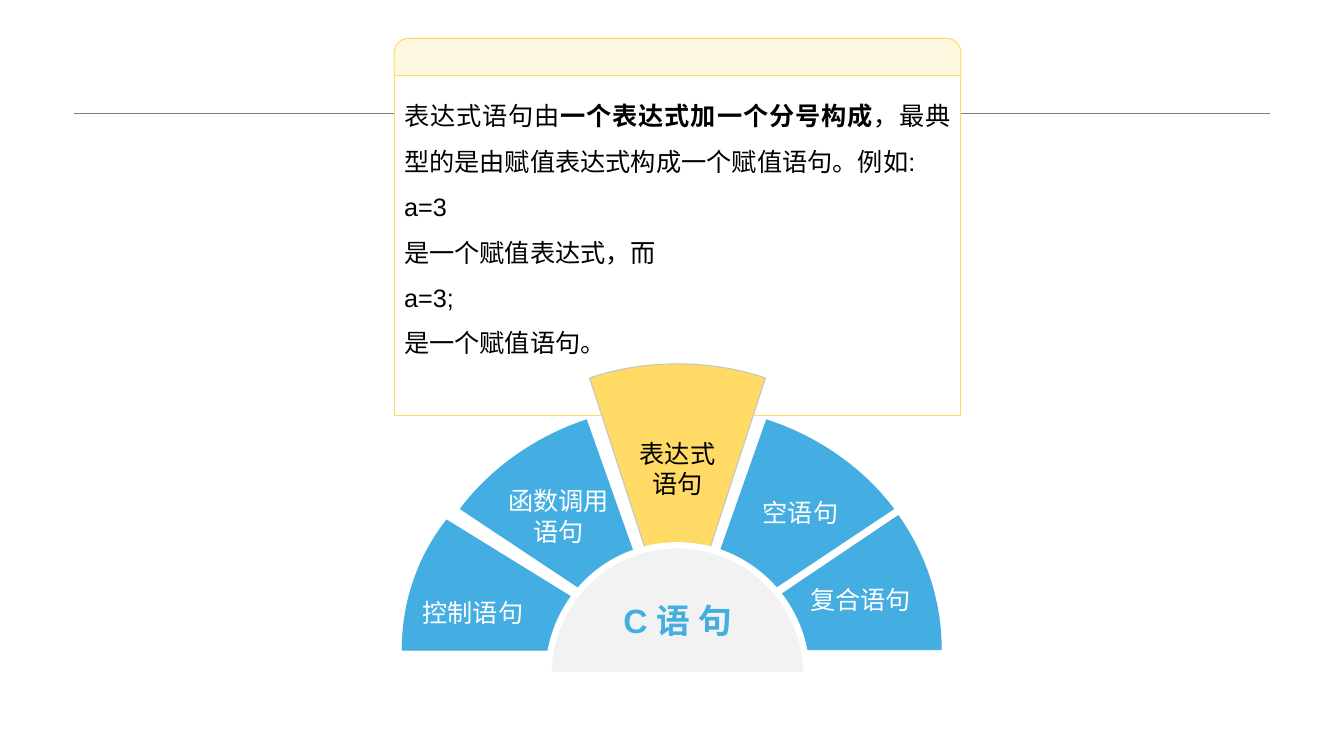
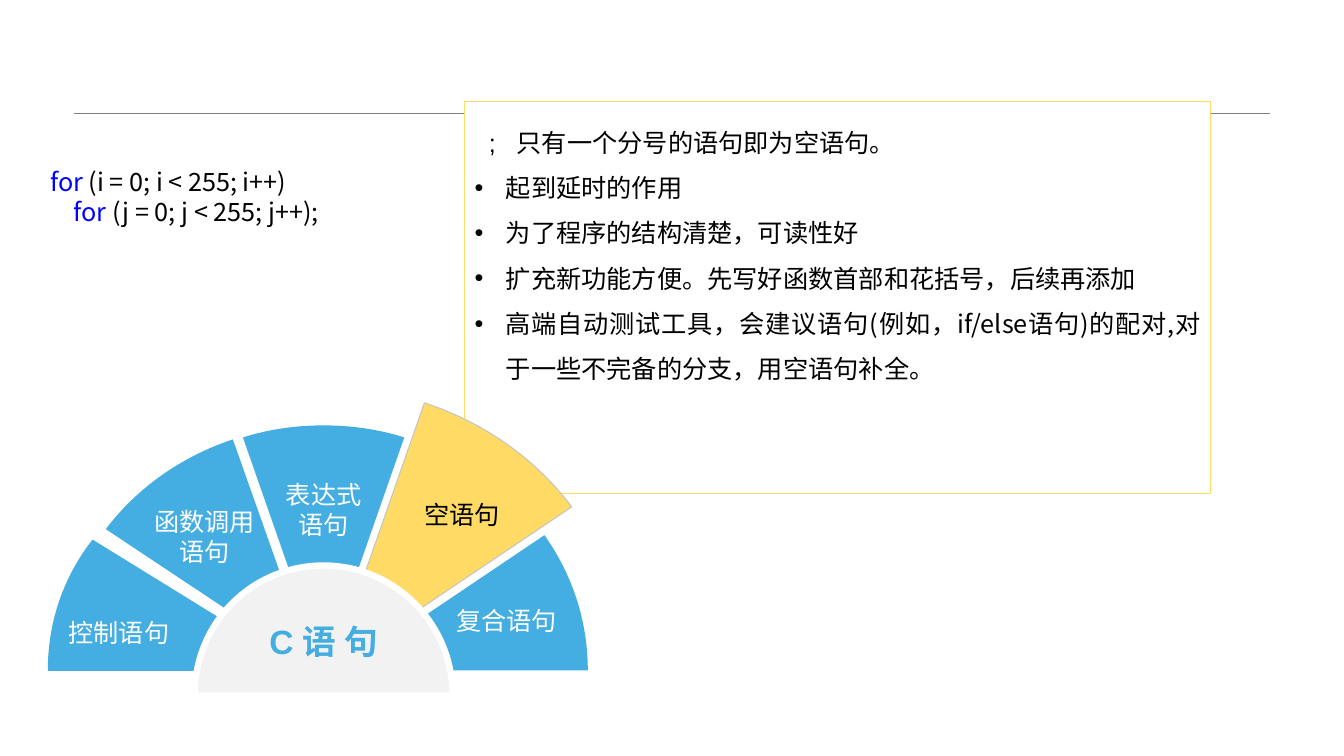
"""Build two slides on C statements: a fan of statement kinds with a card on one of them."""
from lxml.etree import SubElement
from pptx import Presentation
from pptx.dml.color import RGBColor
from pptx.enum.shapes import MSO_CONNECTOR, MSO_SHAPE
from pptx.enum.text import MSO_ANCHOR, PP_ALIGN
from pptx.oxml.ns import qn
from pptx.util import Inches, Pt

BLUE = RGBColor(0x44, 0xAD, 0xE1)
GOLD = RGBColor(0xFF, 0xDB, 0x65)
CREAM = RGBColor(0xFF, 0xF8, 0xE0)
PALE = RGBColor(0xF2, 0xF2, 0xF2)
RIM = RGBColor(0xC4, 0xC4, 0xC4)
GRAY = RGBColor(0x80, 0x80, 0x80)
CODE = RGBColor(0x00, 0x00, 0xFF)
BLACK = RGBColor(0, 0, 0)
WHITE = RGBColor(0xFF, 0xFF, 0xFF)
NOTO = "Noto Sans CJK SC"
MID = MSO_ANCHOR.MIDDLE
TOP = MSO_ANCHOR.TOP
JUST = PP_ALIGN.JUSTIFY
CENTER = PP_ALIGN.CENTER
SIDES = ("margin_left", "margin_top", "margin_right", "margin_bottom")
BASE = {"name": "Arial", "size": Pt(18), "bold": False}


def paint(shape, fill, line=None, width=0.75):
    """Give a shape its fill and outline, without shadow."""
    shape.shadow.inherit = False
    shape.fill.solid()
    shape.fill.fore_color.rgb = fill
    if line is None:
        shape.line.fill.background()
    else:
        shape.line.color.rgb = line
        shape.line.width = Pt(width)


def write(shape, rows, ink, align, inset, anchor, space=1.0):
    """Fill a shape with rows, each a list of (text, format) runs."""
    frame = shape.text_frame
    frame.word_wrap = True
    frame.vertical_anchor = anchor
    for side, gap in zip(SIDES, inset):
        setattr(frame, side, Inches(gap))
    for num, row in enumerate(rows):
        para = frame.add_paragraph() if num else frame.paragraphs[0]
        para.alignment = align
        para.line_spacing = space
        for text, extra in row:
            run = para.add_run()
            run.text = text
            look = {**BASE, **extra}
            run.font.color.rgb = look.pop("ink", ink)
            for key, value in look.items():
                setattr(run.font, key, value)


WEDGE = {"fill": BLUE, "line": None, "width": 0.75, "ink": WHITE, "align": CENTER, "look": {}}
LIFT = {"fill": GOLD, "line": RIM, "ink": BLACK}
FAN = [
    {"rows": ["函数调用", "语句"], "inset": (0.1, 0.05, 0.2, 0.39), "tip": (6.62, 6.42),
     "arc": [(5.82, 4.16), (5.31, 4.33), (4.87, 4.64), (4.56, 5.05)]},
    {"rows": ["控制语句"], "inset": (0.2, 0.59, 0.1, 0.05), "tip": (6.52, 6.45),
     "arc": [(4.43, 5.16), (4.15, 5.52), (3.99, 5.96), (3.99, 6.45)],
     "align": JUST, "line": BLUE},
    {"rows": ["表达式", "语句"], "inset": (0.1, 0.05, 0.1, 0.79), "tip": (6.72, 6.43),
     "arc": [(7.52, 4.14), (7.27, 4.06), (7, 4.02), (6.72, 4.02),
             (6.44, 4.02), (6.17, 4.06), (5.92, 4.14)]},
    {"rows": ["空语句"], "inset": (0.31, 0.05, 0.1, 0.47), "tip": (6.8, 6.43),
     "arc": [(8.87, 5.05), (8.56, 4.64), (8.12, 4.33), (7.6, 4.16)]},
    {"rows": ["复合语句"], "inset": (0.91, 0.39, 0.1, 0.05), "tip": (6.92, 6.45),
     "arc": [(9.34, 6.45), (9.34, 5.95), (9.18, 5.49), (8.91, 5.11)]},
    {"rows": ["C 语 句"], "inset": (0, 0.2, 0, 0), "tip": (6.72, 6.7),
     "arc": [(8, 6.7), (8, 5.98), (7.42, 5.41), (6.72, 5.41),
             (6.01, 5.41), (5.44, 5.98), (5.44, 6.7)],
     "fill": PALE, "line": WHITE, "width": 4.5, "ink": BLUE,
     "look": {"size": Pt(24), "bold": True}},
]

PAGES = [
    {"shift": (0, 0), "lift": "表达式", "scale": (1.09, 1.17), "box": (3.91, 0.75, 5.62, 3.37),
     "rows": [
         [("表达式语句由", {}), ("一个表达式加一个分号构成", {"bold": True}),
          ("，最典型的是由赋值表达式构成一个赋值语句。例如:", {})],
         [("a=3", {})],
         [("是一个赋值表达式，而", {})],
         [("a=3;", {})],
         [("是一个赋值语句。", {})]]},
    {"shift": (-3.51, 0.2), "lift": "空语句", "scale": (1.15, 1.16), "box": (4.61, 1.01, 7.4, 3.89),
     "rows": [[(";", {}), (" ", {}), ("只有一个分号的语句即为空语句。", {})]]
     + [[(text, {"name": NOTO})] for text in (
         "起到延时的作用",
         "为了程序的结构清楚，可读性好",
         "扩充新功能方便。先写好函数首部和花括号，后续再添加",
         "高端自动测试工具，会建议语句(例如，if/else语句)的配对,对于一些不完备的分支，用空语句补全。")]},
]

deck = Presentation()
deck.slide_width = Inches(13.33)
deck.slide_height = Inches(7.5)
slides = []
cards = []

for page in PAGES:
    slide = deck.slides.add_slide(deck.slide_layouts[6])
    shapes = slide.shapes
    rule = shapes.add_connector(
        MSO_CONNECTOR.STRAIGHT, Inches(0.73), Inches(1.12), Inches(12.6), Inches(1.12))
    rule.line.color.rgb = GRAY
    rule.line.width = Pt(0.25)
    SubElement(rule._element.spPr, qn("a:effectLst"))

    card = shapes.add_shape(MSO_SHAPE.RECTANGLE, *map(Inches, page["box"]))
    paint(card, WHITE, GOLD)
    write(card, page["rows"], BLACK, JUST, (0.1,) * 4, TOP, 1.5)
    slides.append(slide)
    cards.append(card)

    dx, dy = page["shift"]
    for item in FAN:
        lift = item["rows"][0] == page["lift"]
        wedge = {**WEDGE, **item, **(LIFT if lift else {})}
        wide, high = page["scale"] if lift else (1, 1)
        tipx, tipy = wedge["tip"]
        tip = (Inches(tipx + dx), Inches(tipy + dy))
        arc = [(Inches(tipx + dx + (x - tipx) * wide), Inches(tipy + dy + (y - tipy) * high))
               for x, y in wedge["arc"]]
        pen = shapes.build_freeform(*tip, scale=1.0)
        pen.add_line_segments(arc[::3], close=True)
        piece = pen.convert_to_shape()

        sides = list(piece._element.iter(qn("a:lnTo")))
        for num, side in enumerate(sides[1:]):
            side.tag = qn("a:cubicBezTo")
            for spot, (x, y) in enumerate(arc[3 * num + 1:3 * num + 3]):
                knob = SubElement(side, qn("a:pt"))
                knob.set("x", str(x - piece.left))
                knob.set("y", str(y - piece.top))
                side.insert(spot, knob)

        paint(piece, wedge["fill"], wedge["line"], wedge["width"])
        rows = [[(text, wedge["look"])] for text in wedge["rows"]]
        write(piece, rows, wedge["ink"], wedge["align"], wedge["inset"], MID)

band = slides[0].shapes.add_shape(
    MSO_SHAPE.ROUND_2_SAME_RECTANGLE, Inches(3.91), Inches(0.38), Inches(5.62), Inches(0.37))
band.adjustments[0] = 0.39
paint(band, CREAM, GOLD)

first, *points = cards[1].text_frame.paragraphs
first._p.get_or_add_pPr().set("marL", str(Inches(0.14)))
first.runs[1].font._element.set("spc", "1000")
for point in points:
    props = point._p.get_or_add_pPr()
    props.set("marL", str(Inches(0.31)))
    props.set("indent", str(Inches(-0.31)))
    SubElement(props, qn("a:buFont")).set("typeface", "Arial")
    SubElement(props, qn("a:buChar")).set("char", "•")

loops = slides[1].shapes.add_textbox(Inches(0.4), Inches(1.6), Inches(4.21), Inches(1.01))
lines = [[("for", {"name": NOTO, "ink": CODE}), (f" ({v} = 0; {v} < 255; {v}++){end}", {"name": NOTO})]
         for v, end in (("i", ""), ("j", ";"))]
write(loops, lines, BLACK, PP_ALIGN.LEFT, (0.1, 0.05, 0.1, 0.05), TOP)
loops.text_frame.paragraphs[1]._p.get_or_add_pPr().set("marL", str(Inches(0.23)))

deck.save("out.pptx")
